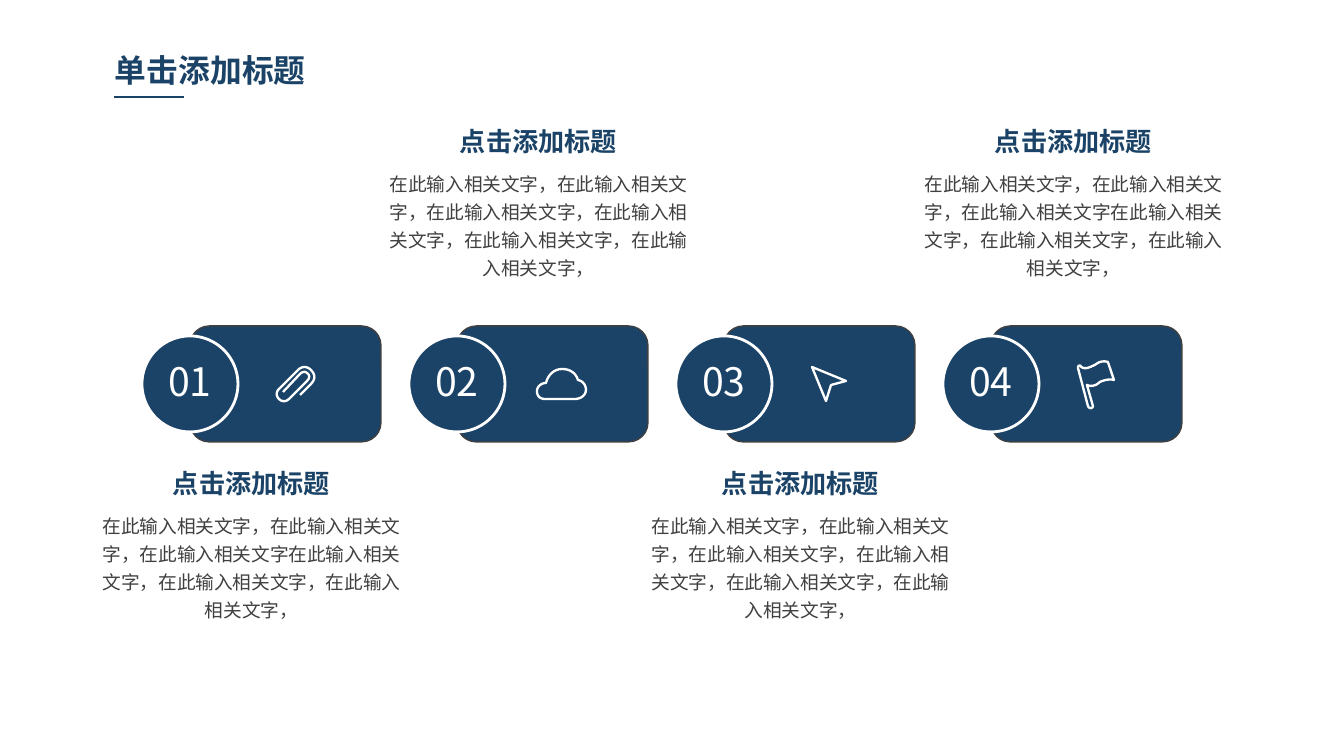
from pptx import Presentation
from pptx import util as u
from pptx.dml.color import RGBColor
from pptx.enum import shapes, text
from pptx.oxml.ns import qn
from lxml import etree

NAVY, GREY, WHITE = "1B4367", "404040", "FFFFFF"
FACE = "Noto Sans CJK SC"
TITLE = "单击添加标题"
HEAD = "点击添加标题"
PART = "在此输入相关文字"
LONG = (PART + "，") * 6
SHORT = PART + "，" + PART + "，" + PART + PART + "，" + (PART + "，") * 2

# Icon strokes in px from the card corner: 2 numbers draw a line, 6 a curve.
CLIP = [(110, 69), (121, 58), (125, 54, 126, 49, 121, 44),
        (117, 40, 112, 40, 108, 44), (89, 63), (86, 66, 86, 70, 89, 73),
        (92, 76, 96, 76, 99, 73), (117, 55), (120, 52, 120, 49, 117, 47),
        (115, 45, 112, 46, 110, 48), (93, 66)]
CLOUD = [(118, 73), (88, 73), (83, 73, 80, 70, 80, 65),
         (80, 61, 84, 57, 89, 57), (91, 49, 97, 43, 105, 43),
         (113, 43, 119, 47, 121, 54), (126, 55, 129, 59, 129, 64),
         (129, 69, 124, 73, 118, 73)]
ARROW = [(88, 41), (122, 55), (107, 59), (102, 75), (88, 41)]
FLAG = [(90, 41), (95, 44, 99, 41, 104, 39), (109, 35, 113, 35, 117, 36),
        (123, 54), (118, 53, 114, 54, 109, 56), (105, 60, 100, 61, 96, 59),
        (102, 80), (102, 83, 98, 83, 97, 80), (87, 42),
        (87, 39, 90, 39, 90, 41)]

# number, icon, body text, left of text, top of heading
STEPS = [("01", CLIP, SHORT, 85, 462), ("02", CLOUD, LONG, 372, 120),
         ("03", ARROW, LONG, 634, 462), ("04", FLAG, SHORT, 907, 120)]
LEFT, TOP, PITCH = 190, 326, 267
SCALE = 9144000 / 1344


def px(*vals):
    return [u.Emu(round(v * SCALE)) for v in vals]


def rgb(code):
    return RGBColor.from_string(code)


def style(item, fill, line, width):
    item.shadow.inherit = False
    if fill:
        item.fill.solid()
        item.fill.fore_color.rgb = rgb(fill)
    else:
        item.fill.background()
    item.line.color.rgb = rgb(line)
    item.line.width = u.Pt(width)


def write(item, words, size, color, bold=False, align=text.PP_ALIGN.CENTER,
          anchor=text.MSO_ANCHOR.TOP, pad=(10, 5), space=None, wrap=True):
    frame = item.text_frame
    frame.text = words
    frame.word_wrap = wrap
    frame.auto_size = text.MSO_AUTO_SIZE.NONE
    frame.vertical_anchor = anchor
    frame.margin_left = frame.margin_right = px(pad[0])[0]
    frame.margin_top = frame.margin_bottom = px(pad[1])[0]
    para = frame.paragraphs[0]
    para.alignment = align
    para.line_spacing = space
    font = para.font
    font.name, font.size, font.bold = FACE, u.Pt(size), bold
    font.color.rgb = rgb(color)
    props = para._p.pPr.find(qn("a:defRPr"))
    east = etree.Element(qn("a:ea"), typeface=FACE)
    props.find(qn("a:latin")).addnext(east)


def trace(path, steps=8):
    """Turn lines and cubic curves into points."""
    pts = [path[0]]
    for seg in path[1:]:
        if len(seg) == 2:
            pts.append(seg)
            continue
        ctrl = [pts[-1], seg[:2], seg[2:4], seg[4:]]
        for i in range(1, steps + 1):
            t = i / steps
            mix = ((1 - t) ** 3, 3 * t * (1 - t) ** 2,
                   3 * t * t * (1 - t), t ** 3)
            pts.append(tuple(sum(m * c[k] for m, c in zip(mix, ctrl))
                             for k in (0, 1)))
    return pts


deck = Presentation()
deck.slide_width, deck.slide_height = px(1344, 756)
slide = deck.slides.add_slide(deck.slide_layouts[5])
items = slide.shapes

title = items.title
title.left, title.top, title.width, title.height = px(105, 46, 332, 48)
write(title, TITLE, 17, NAVY, True, text.PP_ALIGN.LEFT)

rule = items.add_connector(shapes.MSO_CONNECTOR.STRAIGHT,
                           *px(114, 97, 184, 97))
rule.line.color.rgb = rgb(NAVY)
rule.line.width = u.Pt(0.75)
etree.SubElement(rule._element.spPr, qn("a:effectLst"))

for i, (num, icon, words, left, top) in enumerate(STEPS):
    x = LEFT + i * PITCH
    card = items.add_shape(shapes.MSO_SHAPE.ROUNDED_RECTANGLE,
                           *px(x, TOP, 191, 116))
    style(card, NAVY, GREY, 0.75)

    badge = items.add_shape(shapes.MSO_SHAPE.OVAL, *px(x - 48, 336, 96, 96))
    style(badge, NAVY, WHITE, 1.5)
    write(badge, num, 21, WHITE, anchor=text.MSO_ANCHOR.MIDDLE,
          pad=(6, 6), space=0.9)

    pts = [px(x + a, TOP + b) for a, b in trace(icon)]
    pen = items.build_freeform(*pts[0])
    pen.add_line_segments(pts[1:], close=icon[0] == icon[-1][-2:])
    style(pen.convert_to_shape(), None, WHITE, 1.25)

    head = items.add_textbox(*px(left + 77, top, 179, 42))
    write(head, HEAD, 14, NAVY, True, wrap=False)
    body = items.add_textbox(*px(left, top + 42, 333, 124))
    write(body, words, 10, GREY, space=u.Pt(15))

deck.save("out.pptx")
